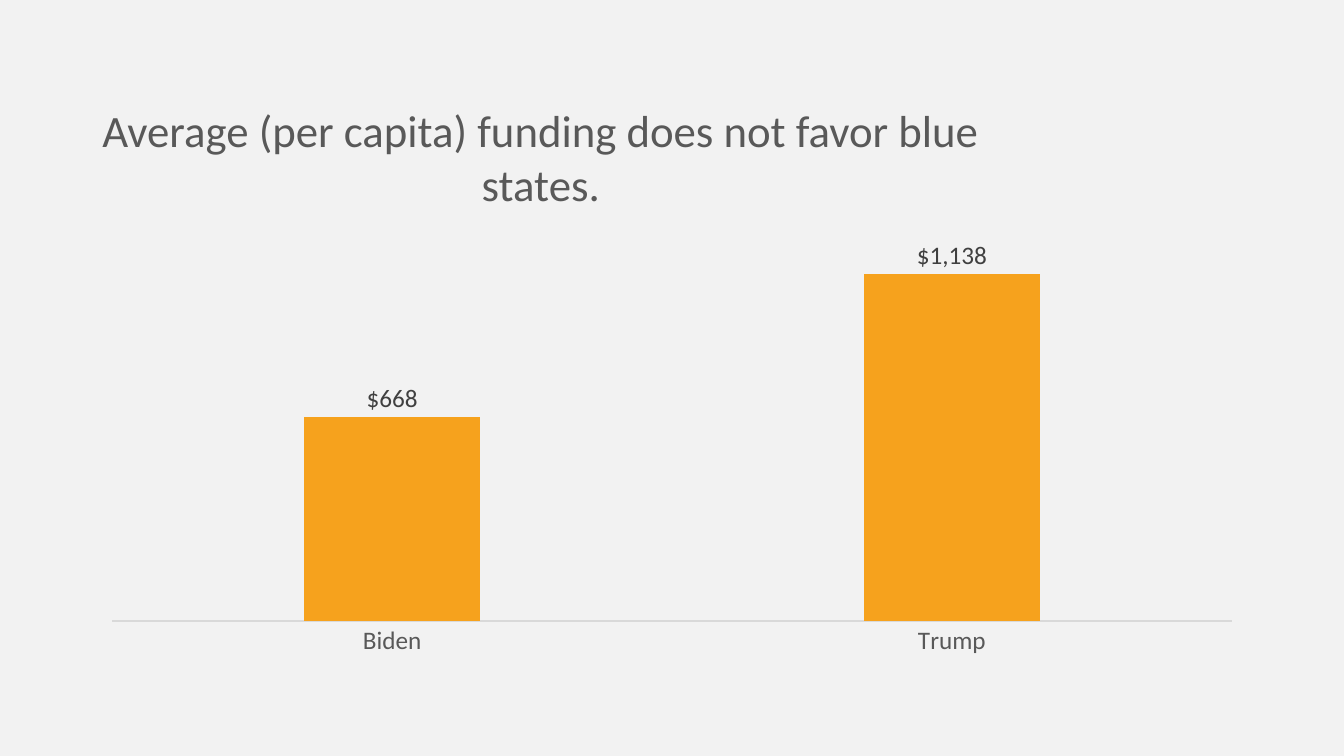
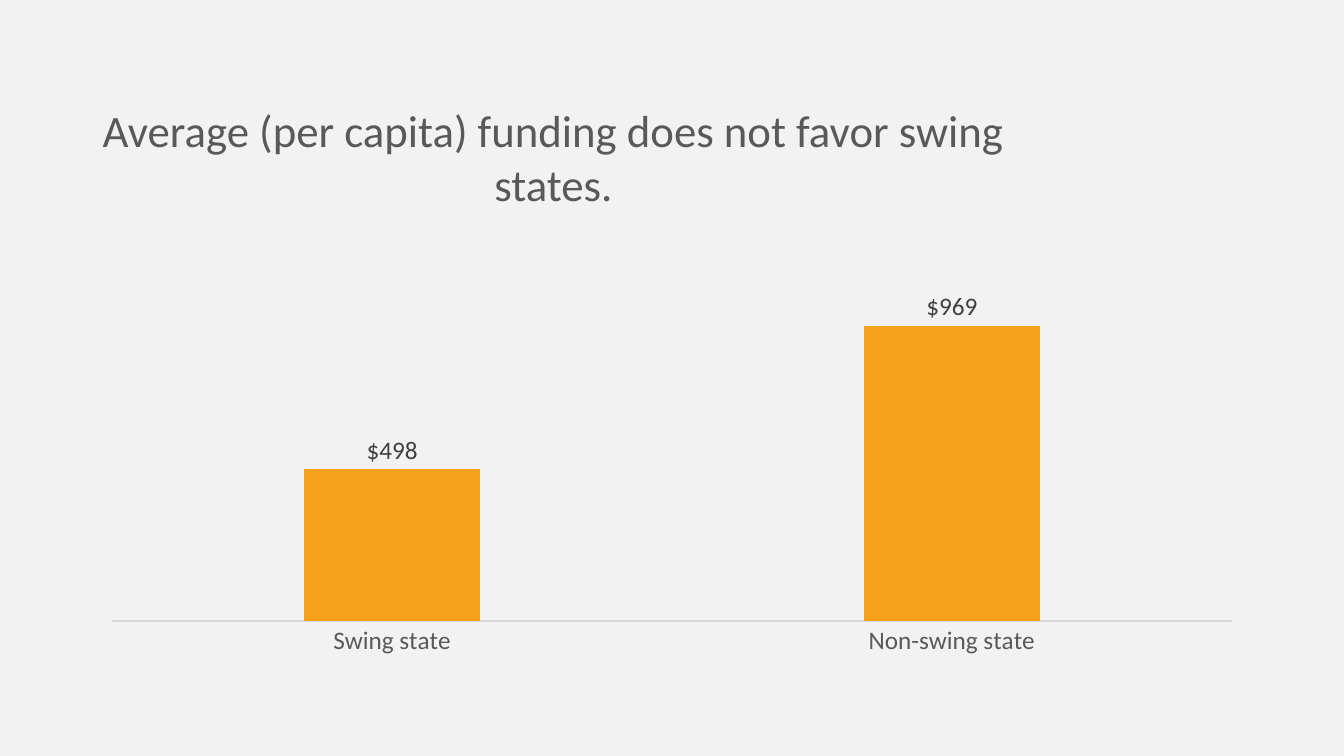
from lxml import etree
from pptx import Presentation
from pptx.chart.data import CategoryChartData
from pptx.dml.color import RGBColor
from pptx.enum.chart import XL_CHART_TYPE, XL_LABEL_POSITION, XL_TICK_MARK
from pptx.enum.text import MSO_ANCHOR, MSO_AUTO_SIZE, PP_ALIGN
from pptx.oxml.ns import qn
from pptx.util import Cm, Pt

COLUMNS = XL_CHART_TYPE.COLUMN_CLUSTERED
OUTSIDE_END = XL_LABEL_POSITION.OUTSIDE_END
NO_TICKS = XL_TICK_MARK.NONE
TOP = MSO_ANCHOR.TOP
NO_FIT = MSO_AUTO_SIZE.NONE
CENTER = PP_ALIGN.CENTER

FONT = "Calibri"
BACKGROUND = "F2F2F2"
ORANGE = "F6A21D"
GRAY = "595959"
DARK_GRAY = "404040"
LIGHT_GRAY = "D9D9D9"
DOLLARS = '"$"#,##0'
PLOT_AREA = {"x": 0.02, "y": 0.08, "w": 0.96, "h": 0.83}

SLIDES = [
    ("Average (per capita) funding does not favor blue states.", 23,
     ["Biden", "Trump"], [668, 1138]),
    ("Average (per capita) funding does not favor swing states.", 23.64,
     ["Swing state", "Non-swing state"], [498, 969]),
]


def rgb(value):
    return RGBColor.from_string(value)


def style_font(font, size, color):
    font.name = FONT
    font.size = Pt(size)
    font.color.rgb = rgb(color)


deck = Presentation()
deck.slide_width = Cm(33.87)
deck.slide_height = Cm(19.05)
background = deck.slide_master.background.fill
background.solid()
background.fore_color.rgb = rgb(BACKGROUND)
title_only = deck.slide_layouts[5]

for heading, title_width, categories, values in SLIDES:
    page = deck.slides.add_slide(title_only)

    title = page.shapes.title
    title.left, title.top = Cm(2.13), Cm(2.6)
    title.width, title.height = Cm(title_width), Cm(2.8)
    frame = title.text_frame
    frame.text = heading
    frame.word_wrap = True
    frame.auto_size = NO_FIT
    frame.vertical_anchor = TOP
    frame.margin_left = frame.margin_right = 0
    frame.margin_top = frame.margin_bottom = 0
    para = frame.paragraphs[0]
    para.alignment = CENTER
    style_font(para.runs[0].font, 32, GRAY)

    data = CategoryChartData(number_format=DOLLARS)
    data.categories = categories
    data.add_series("Series 1", values)
    chart = page.shapes.add_chart(
        COLUMNS, Cm(2.24), Cm(5.55), Cm(29.39), Cm(11.1), data).chart
    chart.has_title = False
    chart.has_legend = False
    style_font(chart.font, 18, GRAY)

    value_axis = chart.value_axis
    value_axis.visible = False
    value_axis.has_major_gridlines = False
    value_axis.minimum_scale = 0
    value_axis.maximum_scale = 1200

    category_axis = chart.category_axis
    category_axis.major_tick_mark = NO_TICKS
    category_axis.minor_tick_mark = NO_TICKS
    category_axis.format.line.color.rgb = rgb(LIGHT_GRAY)
    category_axis.format.line.width = Pt(0.75)
    style_font(category_axis.tick_labels.font, 18, GRAY)

    plot = chart.plots[0]
    plot.gap_width = 219
    plot.overlap = -27
    plot.vary_by_categories = False
    bars = plot.series[0].format.fill
    bars.solid()
    bars.fore_color.rgb = rgb(ORANGE)

    plot.has_data_labels = True
    labels = plot.data_labels
    labels.show_value = True
    labels.position = OUTSIDE_END
    labels.number_format = DOLLARS
    labels.number_format_is_linked = False
    style_font(labels.font, 18, DARK_GRAY)

    plot_area = chart.element.find(".//" + qn("c:plotArea"))
    for old_layout in plot_area.findall(qn("c:layout")):
        plot_area.remove(old_layout)
    layout = etree.Element(qn("c:layout"))
    plot_area.insert(0, layout)
    manual = etree.SubElement(layout, qn("c:manualLayout"))
    settings = {"layoutTarget": "inner", "xMode": "edge", "yMode": "edge", **PLOT_AREA}
    for name, setting in settings.items():
        etree.SubElement(manual, qn("c:" + name)).set("val", str(setting))

deck.save("out.pptx")
